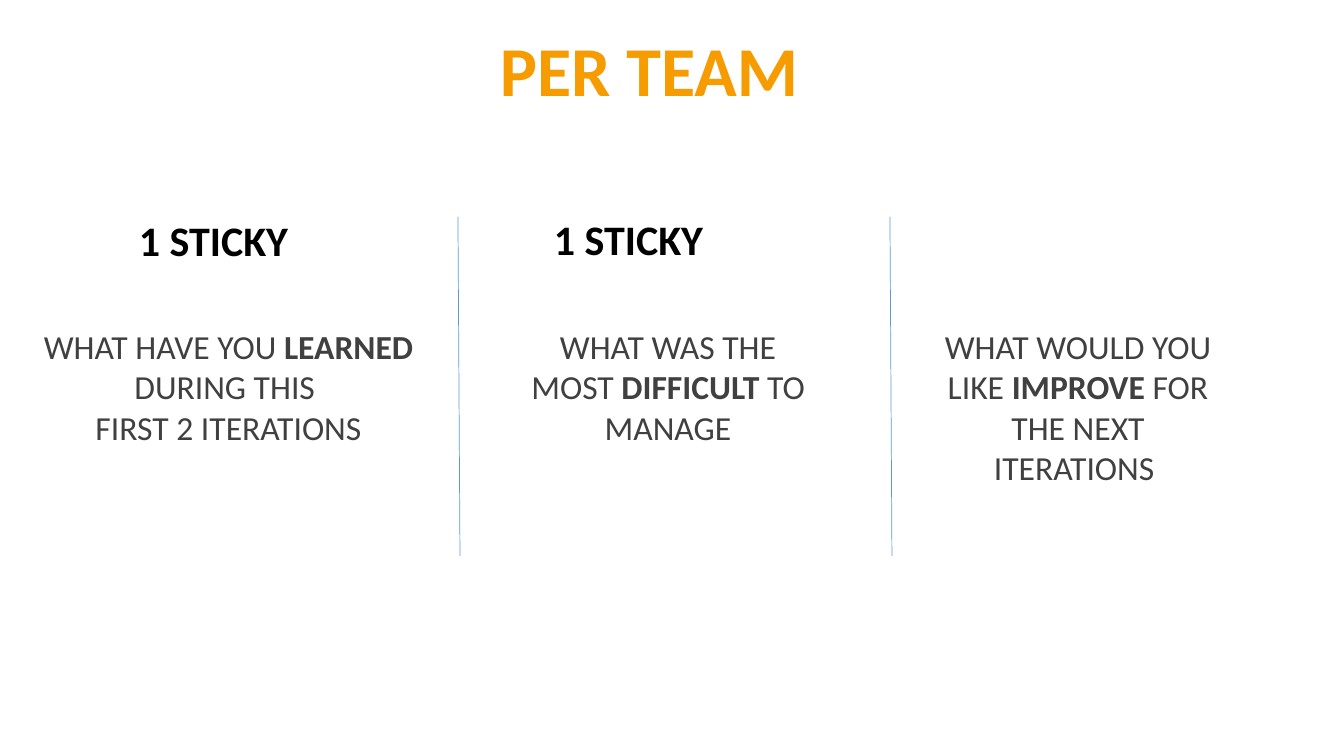
from lxml import etree
from pptx import Presentation
from pptx import util as u
from pptx.dml.color import RGBColor
from pptx.enum import shapes, text
from pptx.oxml.ns import qn

PX_PER_INCH = 100.8
SLIDE_SIZE = (1344, 756)
ORANGE, BLACK, GREY, BLUE = "F69B00", "000000", "404040", "5B9BD5"

# Each paragraph is a list of (words, bold) runs; boxes are left, top, width, height.
TITLE = ("PER TEAM", (490, 22, 322, 95))
HEADING = "1 STICKY"
HEADING_BOXES = [(129, 210, 188, 61), (544, 209, 188, 61)]
QUESTIONS = [
    ((32, 321, 393, 132), False, [
        [("WHAT HAVE YOU ", False), ("LEARNED", True)],
        [("DURING THIS ", False)],
        [("FIRST 2 ITERATIONS", False)],
    ]),
    ((508, 321, 320, 132), True, [
        [("WHAT WAS THE MOST ", False), ("DIFFICULT", True), (" TO MANAGE", False)],
    ]),
    ((918, 321, 320, 173), True, [
        [("WHAT WOULD YOU LIKE ", False), ("IMPROVE", True),
         (" FOR THE NEXT ITERATIONS ", False)],
    ]),
]
DIVIDER_LEFTS = [458, 890]
DIVIDER_TOP, DIVIDER_BOTTOM, DIVIDER_SLANT = 217, 556, 2


def px(length):
    return u.Inches(length / PX_PER_INCH)


def rgb(hex_code):
    return RGBColor.from_string(hex_code)


def add_text(slide, paragraphs, box, *, size, color, align=None, wrap=False):
    frame = slide.shapes.add_textbox(*map(px, box)).text_frame
    frame.word_wrap = wrap
    frame.auto_size = text.MSO_AUTO_SIZE.SHAPE_TO_FIT_TEXT
    for index, runs in enumerate(paragraphs):
        paragraph = frame.add_paragraph() if index else frame.paragraphs[0]
        paragraph.alignment = align
        for words, bold in runs:
            run = paragraph.add_run()
            run.text = words
            run.font.name = "Calibri"
            run.font.size = u.Pt(size)
            run.font.bold = bold
            run.font.color.rgb = rgb(color)


def add_divider(slide, left):
    ends = (left, DIVIDER_TOP, left + DIVIDER_SLANT, DIVIDER_BOTTOM)
    divider = slide.shapes.add_connector(shapes.MSO_CONNECTOR.STRAIGHT, *map(px, ends))
    divider.line.color.rgb = rgb(BLUE)
    divider.line.width = u.Pt(0.5)
    etree.SubElement(divider._element.spPr, qn("a:effectLst"))


def main():
    deck = Presentation()
    deck.slide_width, deck.slide_height = map(px, SLIDE_SIZE)
    slide = deck.slides.add_slide(deck.slide_layouts[6])

    title, title_box = TITLE
    add_text(slide, [[(title, True)]], title_box, size=50, color=ORANGE)
    for box, wrap, question in QUESTIONS:
        add_text(slide, question, box, size=24, color=GREY,
                 align=text.PP_ALIGN.CENTER, wrap=wrap)
    for left in DIVIDER_LEFTS:
        add_divider(slide, left)
    for box in HEADING_BOXES:
        add_text(slide, [[(HEADING, True)]], box, size=30, color=BLACK)

    deck.save("out.pptx")


if __name__ == "__main__":
    main()
